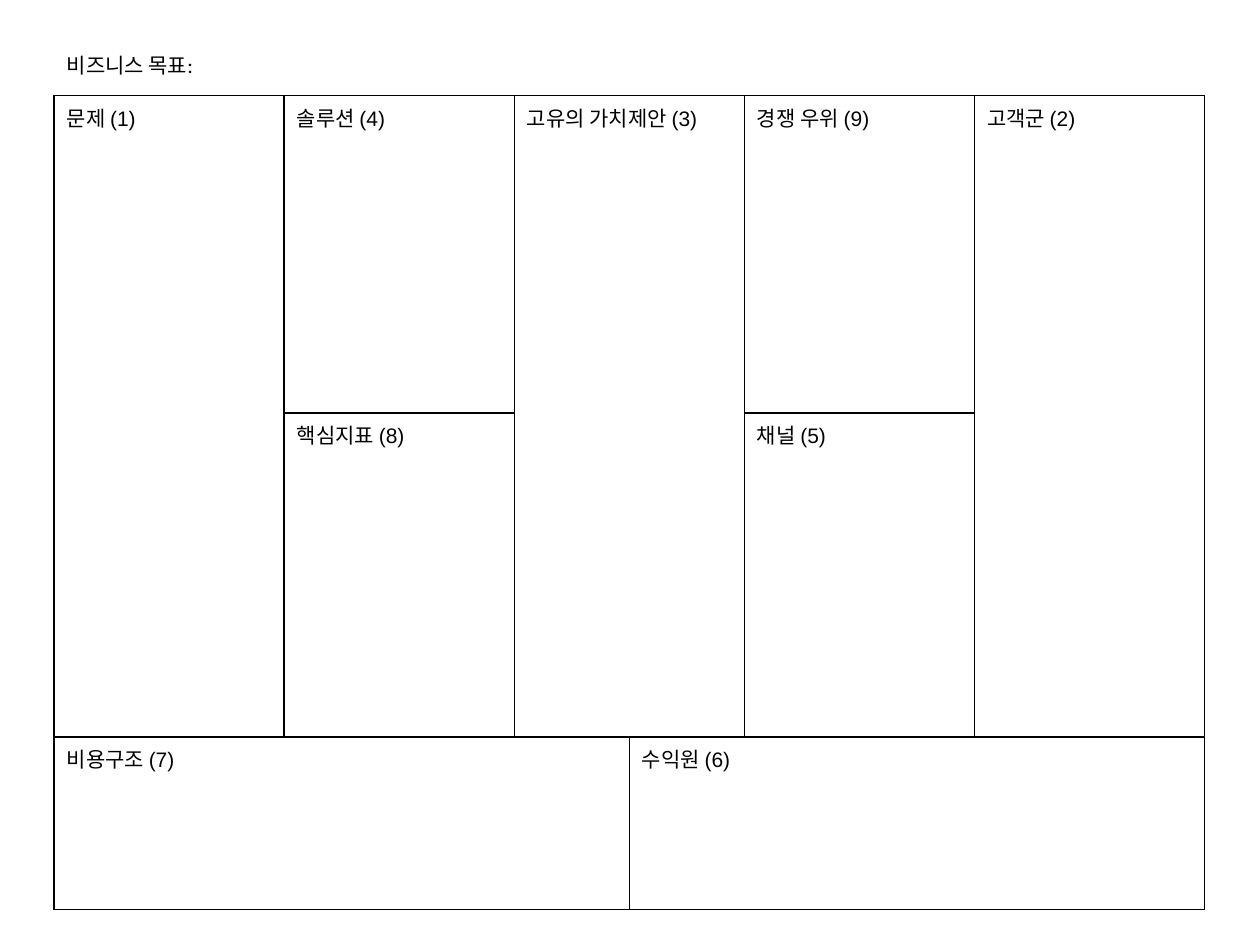
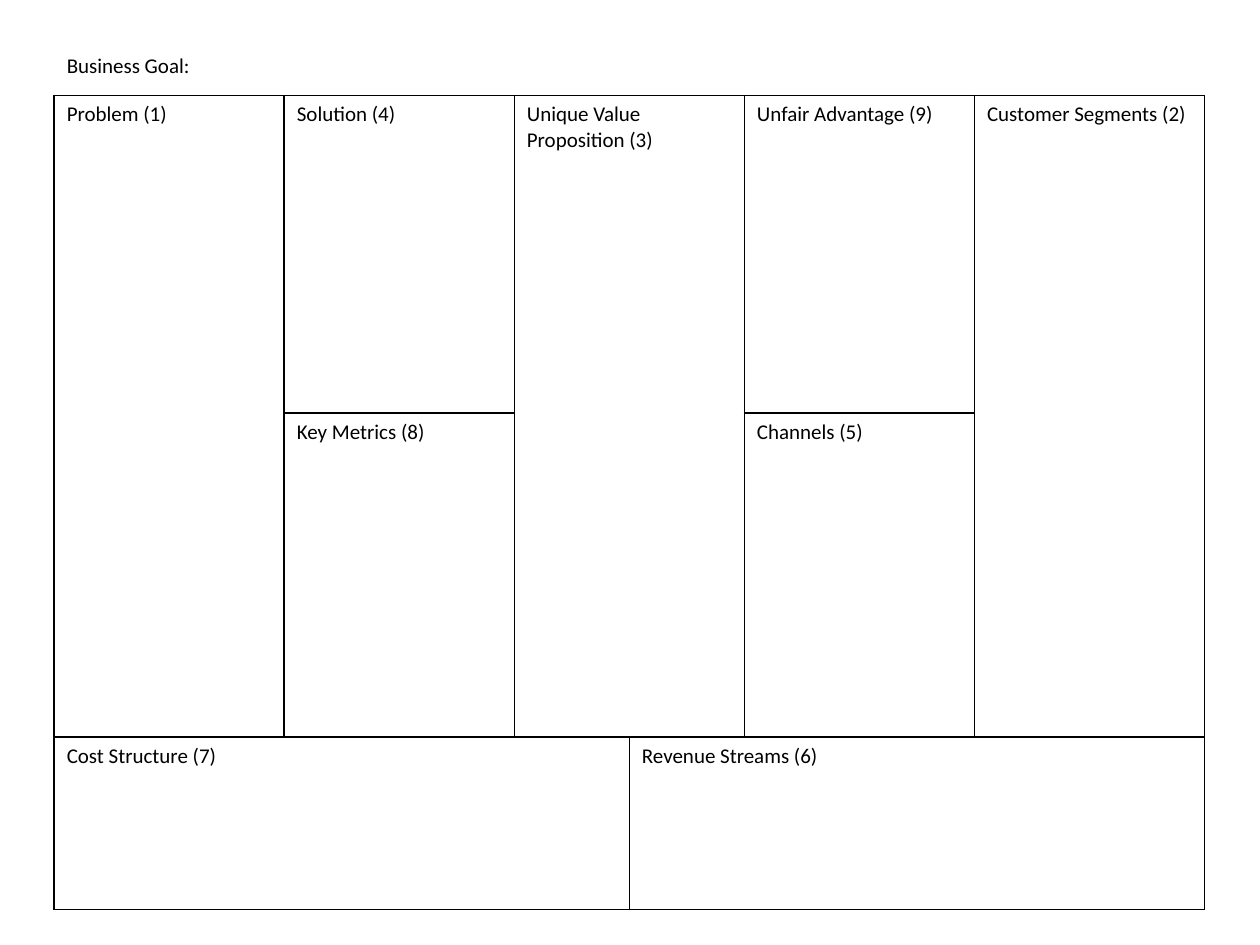
from lxml import etree
from pptx import Presentation
from pptx import util as u
from pptx.dml.color import RGBColor
from pptx.enum import text
from pptx.oxml import ns

COLORS = {"ink": "000000", "paper": "FFFFFF"}
TEXT_SIZE = u.Pt(12)
GOAL_FONT = "Calibri"
GOAL_BOX = (0.43, 0.36, 9.06, 0.31)
CANVAS_BOX = (0.43, 0.76, 9.13, 6.46)
COLUMN_SHARES = (2, 2, 1, 1, 2, 2)
ROW_SHARES = (0.39, 0.398, 0.212)

BLOCKS = {
    "problem": (0, 0, 1, 0),
    "solution": (0, 1, 0, 1),
    "value": (0, 2, 1, 3),
    "advantage": (0, 4, 0, 4),
    "segments": (0, 5, 1, 5),
    "metrics": (1, 1, 1, 1),
    "channels": (1, 4, 1, 4),
    "costs": (2, 0, 2, 2),
    "revenue": (2, 3, 2, 5),
}

CANVASES = [
    {
        "goal": "비즈니스 목표:",
        "font": "Arial",
        "labels": {
            "problem": "문제 (1)",
            "solution": "솔루션 (4)",
            "value": "고유의 가치제안 (3)",
            "advantage": "경쟁 우위 (9)",
            "segments": "고객군 (2)",
            "metrics": "핵심지표 (8)",
            "channels": "채널 (5)",
            "costs": "비용구조 (7)",
            "revenue": "수익원 (6)",
        },
    },
    {
        "goal": "Business Goal:",
        "font": "Calibri",
        "labels": {
            "problem": "Problem (1)",
            "solution": "Solution (4)",
            "value": "Unique Value Proposition (3)",
            "advantage": "Unfair Advantage (9)",
            "segments": "Customer Segments (2)",
            "metrics": "Key Metrics (8)",
            "channels": "Channels (5)",
            "costs": "Cost Structure (7)",
            "revenue": "Revenue Streams (6)",
        },
    },
]


def write_label(frame, label, font):
    frame.text = label
    para = frame.paragraphs[0]
    para.alignment = text.PP_ALIGN.LEFT
    for span in para.runs:
        span.font.name = font
        span.font.size = TEXT_SIZE
        span.font.bold = False
        span.font.color.rgb = RGBColor.from_string(COLORS["ink"])


def draw_borders(cell):
    properties = cell._tc.get_or_add_tcPr()
    for side in ("lnL", "lnR", "lnT", "lnB"):
        line = etree.SubElement(properties, ns.qn(f"a:{side}"), w=str(u.Pt(1)))
        fill = etree.SubElement(line, ns.qn("a:solidFill"))
        etree.SubElement(fill, ns.qn("a:srgbClr"), val=COLORS["ink"])


def place_goal(page, goal, box):
    title = page.shapes.title
    title.left, title.top, title.width, title.height = map(u.Inches, box)
    frame = title.text_frame
    write_label(frame, goal, GOAL_FONT)
    frame.word_wrap = True
    frame.auto_size = text.MSO_AUTO_SIZE.NONE
    frame.vertical_anchor = text.MSO_ANCHOR.MIDDLE


def place_canvas(page, labels, font, box):
    left, top, width, height = map(u.Inches, box)
    table = page.shapes.add_table(
        len(ROW_SHARES), len(COLUMN_SHARES), left, top, width, height
    ).table
    table.first_row = False
    table.horz_banding = False
    for column, share in zip(table.columns, COLUMN_SHARES):
        column.width = round(width * share / sum(COLUMN_SHARES))
    for row, share in zip(table.rows, ROW_SHARES):
        row.height = round(height * share / sum(ROW_SHARES))
    for cell in table.iter_cells():
        draw_borders(cell)
        cell.fill.solid()
        cell.fill.fore_color.rgb = RGBColor.from_string(COLORS["paper"])
    for name, (row, column, last_row, last_column) in BLOCKS.items():
        cell = table.cell(row, column)
        if (row, column) != (last_row, last_column):
            cell.merge(table.cell(last_row, last_column))
        write_label(cell.text_frame, labels[name], font)


def main():
    deck = Presentation()
    deck.slide_width, deck.slide_height = u.Inches(10), u.Inches(7.5)
    title_only = deck.slide_layouts.get_by_name("Title Only")
    for canvas in CANVASES:
        page = deck.slides.add_slide(title_only)
        place_goal(page, canvas["goal"], GOAL_BOX)
        place_canvas(page, canvas["labels"], canvas["font"], CANVAS_BOX)
    deck.save("out.pptx")


if __name__ == "__main__":
    main()
